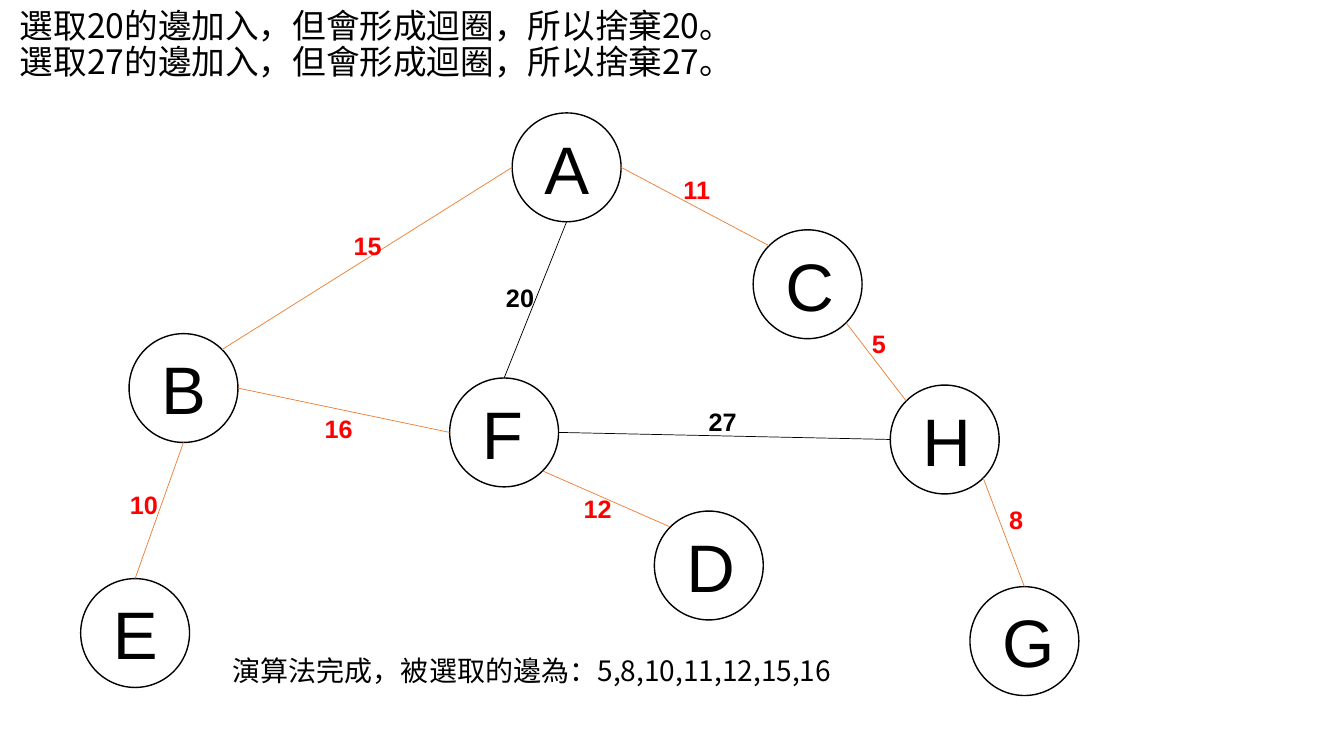
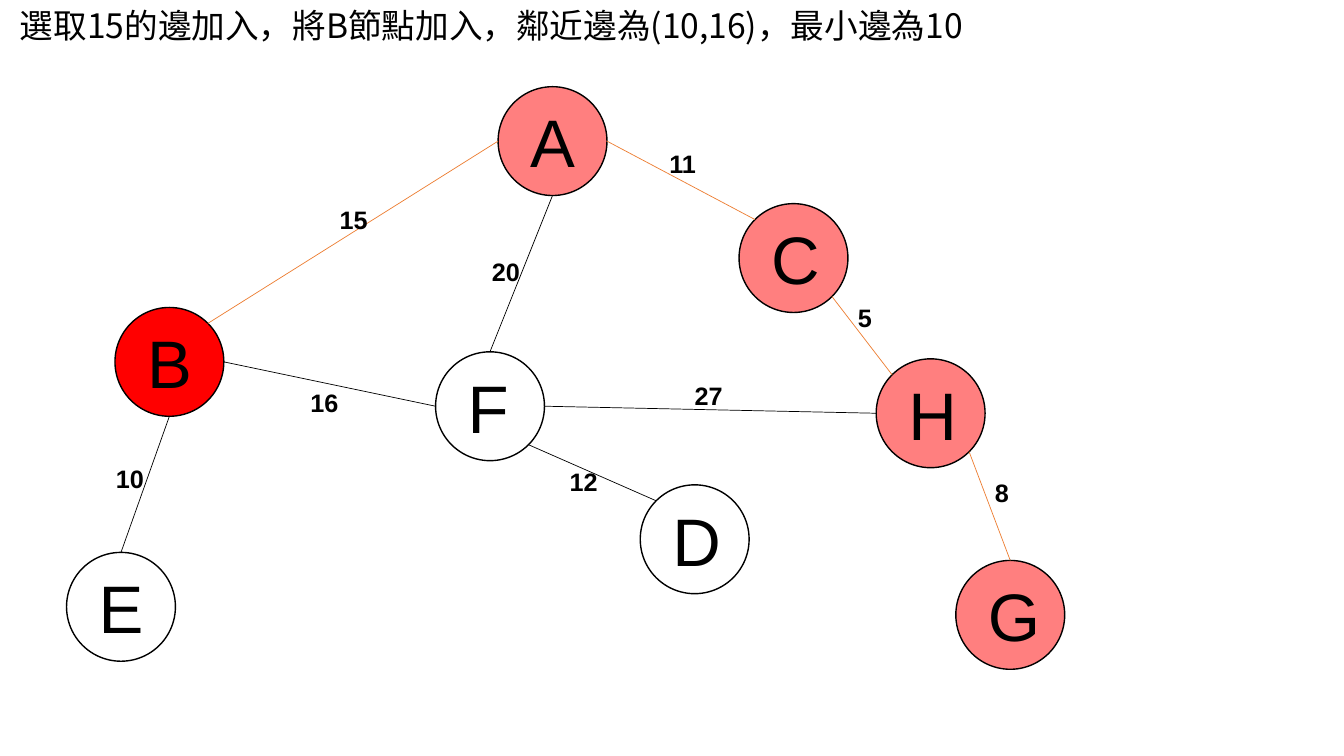
from math import cos, radians, sin

from lxml import etree
from pptx import Presentation
from pptx.dml.color import RGBColor
from pptx.enum.shapes import MSO_CONNECTOR, MSO_SHAPE
from pptx.enum.text import MSO_AUTO_SIZE
from pptx.oxml.ns import qn
from pptx.util import Inches, Pt

CIRCLE = MSO_SHAPE.FLOWCHART_CONNECTOR
STRAIGHT = MSO_CONNECTOR.STRAIGHT
FIT, FIXED = MSO_AUTO_SIZE.SHAPE_TO_FIT_TEXT, MSO_AUTO_SIZE.NONE

BLACK, RED, ORANGE = "000000", "FF0000", "ED7D31"
LATIN, CHINESE = "Arial", "Noto Sans CJK SC"
DIAMETER = 1.08
RADIUS = DIAMETER / 2

# Compass points on a node's rim, in degrees clockwise from the right
RIGHT, LOWER_RIGHT, BOTTOM, LEFT, UPPER_LEFT, TOP, UPPER_RIGHT = (
    0, 45, 90, 180, 225, 270, 315)

# Node: left, top, width of its letter box
NODES = {
    "A": (5.08, 1.12, 0.65), "B": (1.28, 3.31, 0.65),
    "D": (6.49, 5.07, 0.69), "E": (0.8, 5.74, 0.65),
    "G": (9.62, 5.82, 0.73), "C": (7.47, 2.28, 0.69),
    "F": (4.46, 3.75, 0.61), "H": (8.83, 3.82, 0.69),
}

# Edge weight: start node and rim point, end node and rim point, label corner
EDGES = {
    15: ("A", LEFT, "B", UPPER_RIGHT, 3.41, 2.24),
    20: ("F", TOP, "A", BOTTOM, 4.92, 2.75),
    11: ("C", UPPER_LEFT, "A", RIGHT, 6.68, 1.68),
    27: ("F", RIGHT, "H", LEFT, 6.93, 3.98),
    12: ("D", UPPER_LEFT, "F", LOWER_RIGHT, 5.69, 4.84),
    10: ("B", BOTTOM, "E", TOP, 1.19, 4.81),
    16: ("F", LEFT, "B", RIGHT, 3.12, 4.05),
    8: ("H", LOWER_RIGHT, "G", TOP, 9.91, 4.95),
    5: ("H", UPPER_LEFT, "C", LOWER_RIGHT, 8.55, 3.21),
}

STEPS = [
    {"title": ["選取20的邊加入，但會形成迴圈，所以捨棄20。",
               "選取27的邊加入，但會形成迴圈，所以捨棄27。"],
     "shift": (0, 0), "chosen": {5, 8, 10, 11, 12, 15, 16},
     "chosen_label": RED, "visited": "", "current": "",
     "result": "演算法完成，被選取的邊為：5,8,10,11,12,15,16"},
    {"title": ["選取15的邊加入，將B節點加入，鄰近邊為(10,16)，最小邊為10"],
     "shift": (-0.14, -0.26), "chosen": {5, 8, 11, 15},
     "chosen_label": BLACK, "visited": "ACGH", "current": "B",
     "result": ""},
]


def rgb(code):
    """Turn a hex string into a colour."""
    return RGBColor.from_string(code)


def add_text(shapes, lines, left, top, width, height, *, size, font=LATIN,
             color=BLACK, bold=None, wrap=True, fit=FIT, spacing=None):
    """Add a text box with one paragraph for each line."""
    box = shapes.add_textbox(*map(Inches, (left, top, width, height)))
    frame = box.text_frame
    frame.word_wrap = wrap
    frame.auto_size = fit
    for index, line in enumerate(lines):
        para = frame.add_paragraph() if index else frame.paragraphs[0]
        para.line_spacing = spacing
        span = para.add_run()
        span.text = line
        span.font.size, span.font.name, span.font.bold = Pt(size), font, bold
        span.font.color.rgb = rgb(color)
        east_asian = etree.SubElement(span.font._element, qn("a:ea"))
        east_asian.set("typeface", font)


deck = Presentation()
deck.slide_width, deck.slide_height = Inches(13.33), Inches(7.5)
blank = deck.slide_layouts[6]

for step in STEPS:
    page = deck.slides.add_slide(blank)
    graph = page.shapes.add_group_shape().shapes
    shift_x, shift_y = step["shift"]

    for name, (left, top, letter_width) in NODES.items():
        x, y = left + shift_x, top + shift_y
        node = graph.add_shape(
            CIRCLE, *map(Inches, (x, y, DIAMETER, DIAMETER)))
        node.shadow.inherit = False
        node.line.color.rgb = rgb(BLACK)
        node.line.width = Pt(1)
        if name in step["visited"] + step["current"]:
            node.fill.solid()
            node.fill.fore_color.rgb = rgb(RED)
        else:
            node.fill.background()
        if name in step["visited"]:
            shade = node._element.spPr.find(".//" + qn("a:srgbClr"))
            etree.SubElement(shade, qn("a:alpha")).set("val", "50000")
        add_text(graph, [name], x + 0.22, y + 0.09, letter_width, 0.91,
                 size=48, wrap=False)

    for weight, (start, start_angle, end, end_angle, _, _) in EDGES.items():
        ends = []
        for name, angle in ((start, start_angle), (end, end_angle)):
            left, top, _ = NODES[name]
            ends += [left + shift_x + RADIUS * (1 + cos(radians(angle))),
                     top + shift_y + RADIUS * (1 + sin(radians(angle)))]
        edge = graph.add_connector(STRAIGHT, *map(Inches, ends))
        edge.line.width = Pt(0.5)
        edge.line.color.rgb = rgb(ORANGE if weight in step["chosen"] else BLACK)
        etree.SubElement(edge._element.spPr, qn("a:effectLst"))

    for weight, (*_, left, top) in EDGES.items():
        color = step["chosen_label"] if weight in step["chosen"] else BLACK
        add_text(graph, [str(weight)], left + shift_x, top + shift_y,
                 0.49, 0.4, size=18, bold=True, color=color)

    add_text(page.shapes, step["title"], 0.1, 0.04, 10.6, 0.96, size=24,
             font=CHINESE, fit=FIXED, spacing=0.9)
    if step["result"]:
        add_text(page.shapes, [step["result"]], 2.21, 6.43, 7.3, 0.44,
                 size=20, font=CHINESE)

deck.save("out.pptx")
